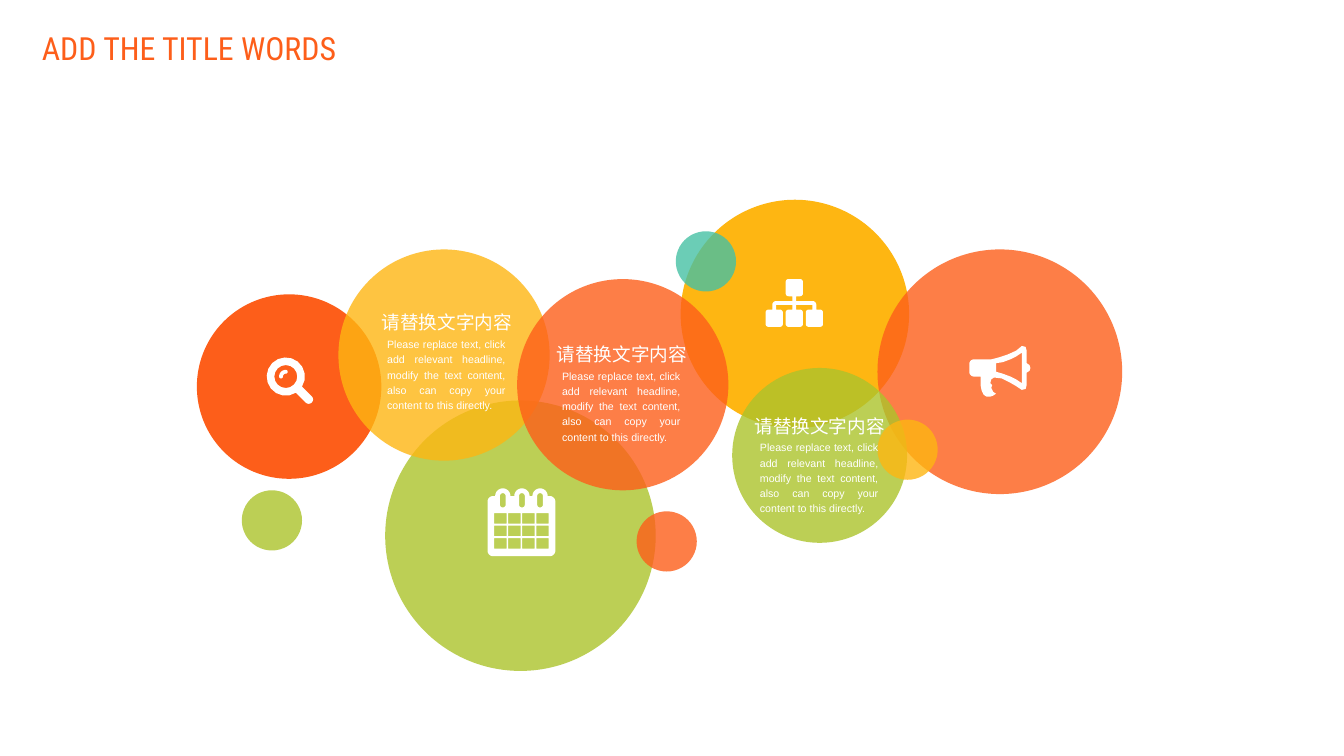
import math

import lxml.etree
import pptx
import pptx.dml.color
import pptx.enum.shapes
import pptx.enum.text
import pptx.oxml.ns
import pptx.util

Inches, Pt = pptx.util.Inches, pptx.util.Pt
RGB = pptx.dml.color.RGBColor.from_string
SHAPE = pptx.enum.shapes.MSO_SHAPE
ALIGN = pptx.enum.text.PP_ALIGN
TOP = pptx.enum.text.MSO_ANCHOR.TOP
qn = pptx.oxml.ns.qn

COLORS = {"orange": "FD5E1A", "yellow": "FEB612", "green": "ACC32B",
          "teal": "46C1A4", "white": "FFFFFF"}
HEADING = "请替换文字内容"
BODY = ("Please replace text, click add relevant headline, modify the text content, "
        "also can copy your content to this directly.")

prs = pptx.Presentation()
prs.slide_width, prs.slide_height = Inches(14.06), Inches(7.91)
s = prs.slides.add_slide(prs.slide_layouts[6])


def arc(cx, cy, r, start, end):
    """Points on a circular arc, angles in degrees clockwise from the right."""
    angles = [math.radians(start + (end - start) * i / 16) for i in range(17)]
    return [(cx + r * math.cos(a), cy + r * math.sin(a)) for a in angles]


def rounded(left, top, right, bottom, r):
    """Points of a rectangle with rounded corners."""
    return (arc(left + r, top + r, r, 180, 270) + arc(right - r, top + r, r, 270, 360)
            + arc(right - r, bottom - r, r, 0, 90) + arc(left + r, bottom - r, r, 90, 180))


# Bubbles: left, top, diameter, colour, opacity in percent
large_bubbles = [
    (7.12, 2.09, 2.39, "yellow", 100), (2.06, 3.08, 1.93, "orange", 100),
    (9.18, 2.61, 2.56, "orange", 80), (4.03, 4.19, 2.83, "green", 80),
    (3.54, 2.61, 2.21, "yellow", 80), (5.41, 2.92, 2.21, "orange", 80),
    (7.66, 3.85, 1.83, "green", 80)]
small_bubbles = [
    (7.07, 2.42, 0.63, "teal", 80), (6.66, 5.35, 0.63, "orange", 80),
    (9.18, 4.39, 0.63, "yellow", 80), (2.53, 5.13, 0.63, "green", 80)]
for left, top, size, color, opacity in large_bubbles + small_bubbles:
    sp = s.shapes.add_shape(SHAPE.OVAL, Inches(left), Inches(top), Inches(size), Inches(size))
    sp.shadow.inherit = False
    sp.line.fill.background()
    sp.fill.solid()
    sp.fill.fore_color.rgb = RGB(COLORS[color])
    if opacity < 100:
        clr = sp.fill._xPr.find(qn("a:solidFill"))[0]
        lxml.etree.SubElement(clr, qn("a:alpha")).set("val", str(opacity * 1000))

# Organisation chart
boxes = [rounded(x, y, x + 0.18, y + 0.18, 0.03)
         for x, y in [(8.22, 2.92), (8.01, 3.24), (8.22, 3.24), (8.43, 3.24)]]
branches = [(8.29, 3.1), (8.33, 3.1), (8.33, 3.15)] + arc(8.5, 3.19, 0.04, 270, 360)
branches += [(8.54, 3.24), (8.5, 3.24), (8.5, 3.19), (8.33, 3.19), (8.33, 3.24),
             (8.29, 3.24), (8.29, 3.19), (8.12, 3.19), (8.12, 3.24), (8.08, 3.24)]
branches += arc(8.12, 3.19, 0.04, 180, 270) + [(8.29, 3.15)]

# Magnifier
rim = arc(2.99, 3.94, 0.2, 58, 392) + arc(3.23, 4.18, 0.045, -45, 135)
lens = arc(2.99, 3.94, 0.12, 0, 360)
glint = (arc(2.99, 3.94, 0.07, 180, 270) + arc(2.99, 3.89, 0.02, -90, 90)
         + arc(2.99, 3.94, 0.03, 270, 180) + arc(2.94, 3.94, 0.02, 0, 180))

# Megaphone
horn = [(10.78, 3.85), (10.77, 3.88), (10.74, 3.9), (10.74, 4.03), (10.73, 4.07),
        (10.69, 4.08), (10.63, 4.04), (10.56, 4), (10.48, 3.96), (10.4, 3.95),
        (10.37, 3.97), (10.36, 4.01), (10.38, 4.03), (10.37, 4.06), (10.39, 4.1),
        (10.42, 4.12), (10.39, 4.14), (10.36, 4.15), (10.32, 4.15), (10.29, 4.13),
        (10.27, 4.09), (10.26, 4.04), (10.26, 3.94)]
horn += arc(10.19, 3.89, 0.05, 90, 180) + arc(10.19, 3.81, 0.05, 180, 270)
horn += [(10.37, 3.76), (10.45, 3.74), (10.54, 3.71), (10.63, 3.67), (10.69, 3.62),
         (10.73, 3.63), (10.74, 3.67), (10.74, 3.8), (10.77, 3.82)]
mouth = [(10.69, 3.69), (10.63, 3.73), (10.57, 3.76), (10.49, 3.79), (10.42, 3.8),
         (10.42, 3.89), (10.49, 3.91), (10.57, 3.94), (10.63, 3.97), (10.69, 4.01)]

# Calendar
rings = [5.26, 5.46, 5.65]
page = arc(5.16, 5.25, 0.06, 180, 270)
for x in rings:
    page += arc(x, 5.19, 0.08, 180, 360)
page += (arc(5.75, 5.25, 0.06, 270, 360) + arc(5.75, 5.76, 0.06, 0, 90)
         + arc(5.16, 5.76, 0.06, 90, 180))
slots = [rounded(x - 0.03, 5.16, x + 0.03, 5.31, 0.03) for x in rings]
days = []
for row in range(3):
    for col in range(4):
        x, y = 5.17 + col * 0.44 / 3, 5.37 + row * 0.13
        days.append([(x, y), (x + 0.13, y), (x + 0.13, y + 0.11), (x, y + 0.11)])

# Each icon is one freeform; inner contours become holes
for icon in (boxes + [branches], [rim, lens, glint], [horn, mouth], [page] + slots + days):
    contours = [[(Inches(x), Inches(y)) for x, y in contour] for contour in icon]
    builder = s.shapes.build_freeform(*contours[0][0])
    for points in contours:
        if points is not contours[0]:
            builder.move_to(*points[0])
        builder.add_line_segments(points[1:], close=True)
    sp = builder.convert_to_shape()
    sp.shadow.inherit = False
    sp.line.fill.background()
    sp.fill.solid()
    sp.fill.fore_color.rgb = RGB(COLORS["white"])

# Bubble texts: left, top, width, height, text, size, alignment
texts = []
for left, top in [(3.81, 3.21), (5.64, 3.54), (7.71, 4.29)]:
    texts += [(left, top, 1.73, 0.26, HEADING, 14, ALIGN.CENTER),
              (left + 0.24, top + 0.3, 1.24, 0.79, BODY, 8, ALIGN.JUSTIFY)]
for left, top, width, height, text, size, align in texts:
    sp = s.shapes.add_shape(SHAPE.RECTANGLE, Inches(left), Inches(top),
                            Inches(width), Inches(height))
    sp.shadow.inherit = False
    sp.fill.background()
    sp.line.fill.background()
    tf = sp.text_frame
    tf.word_wrap = True
    tf.vertical_anchor = TOP
    tf.margin_left = tf.margin_right = tf.margin_top = tf.margin_bottom = 0
    tf.text = text
    p = tf.paragraphs[0]
    p.alignment, p.line_spacing = align, 1.2
    r = p.runs[0]
    r.font.size, r.font.name = Pt(size), "Arial"
    r.font.color.rgb = RGB(COLORS["white"])

# Title
tf = s.shapes.add_textbox(Inches(0.34), Inches(0.05), Inches(3.54), Inches(0.63)).text_frame
tf.word_wrap = True
tf.text = "ADD THE TITLE WORDS"
p = tf.paragraphs[0]
p.line_spacing = 1.5
r = p.runs[0]
r.font.size, r.font.name = Pt(24), "Roboto Condensed"
r.font.color.rgb = RGB(COLORS["orange"])

prs.save("out.pptx")
